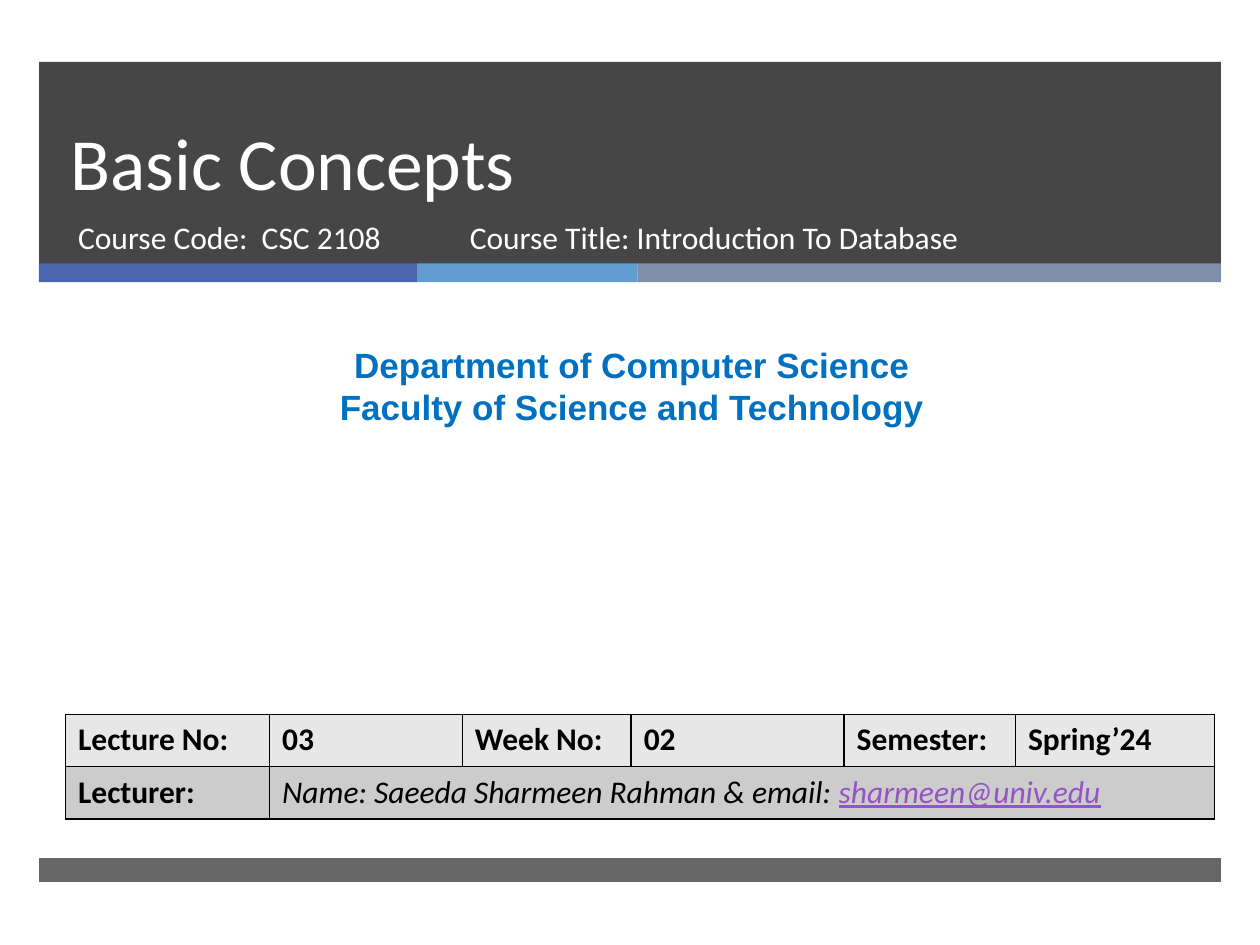
from dataclasses import dataclass

from lxml import etree
from pptx import Presentation
from pptx.dml.color import RGBColor
from pptx.enum.shapes import MSO_SHAPE
from pptx.enum.text import MSO_ANCHOR, MSO_AUTO_SIZE, PP_ALIGN
from pptx.oxml.ns import qn
from pptx.util import Inches, Pt

RECTANGLE = MSO_SHAPE.RECTANGLE
TOP, BOTTOM = MSO_ANCHOR.TOP, MSO_ANCHOR.BOTTOM
LEFT, CENTER = PP_ALIGN.LEFT, PP_ALIGN.CENTER
NO_AUTOFIT = MSO_AUTO_SIZE.NONE

WHITE = RGBColor(0xFF, 0xFF, 0xFF)
BLACK = RGBColor(0x00, 0x00, 0x00)
CHARCOAL = RGBColor(0x26, 0x26, 0x26)
INDIGO = RGBColor(0x4A, 0x66, 0xAC)
SKY = RGBColor(0x62, 0x9D, 0xD1)
SLATE = RGBColor(0x7F, 0x8F, 0xA9)
DEPARTMENT_BLUE = RGBColor(0x00, 0x70, 0xC0)
LINK_PURPLE = RGBColor(0x94, 0x54, 0xC3)
LIGHT_GRAY = RGBColor(0xE7, 0xE7, 0xE7)
MID_GRAY = RGBColor(0xCC, 0xCC, 0xCC)

TITLE = {"name": "Calibri", "size": Pt(42), "bold": False}
COURSE = {"name": "Calibri", "size": Pt(18), "bold": False}
DEPARTMENT = {"name": "Arial", "size": Pt(20), "bold": True}
LABEL = {"name": "Calibri", "size": Pt(18), "bold": True}
DETAIL = LABEL | {"bold": False, "italic": True}
EMAIL = DETAIL | {"underline": True}


@dataclass
class Box:
    left: float
    top: float
    width: float
    height: float


@dataclass
class Band:
    box: Box
    color: RGBColor
    opacity: int = 100


@dataclass
class Text:
    words: str
    style: dict
    color: RGBColor


BANDS = [
    Band(Box(0.31, 0.49, 9.38, 1.61), CHARCOAL, 85),
    Band(Box(0.31, 2.09, 3, 0.15), INDIGO),
    Band(Box(3.31, 2.09, 1.75, 0.15), SKY),
    Band(Box(5.06, 2.09, 4.63, 0.15), SLATE),
    Band(Box(0.31, 6.81, 9.38, 0.19), CHARCOAL, 70),
]
COLUMN_WIDTHS = [1.62, 1.53, 1.34, 1.69, 1.36, 1.58]
LECTURE_CELLS = ["Lecture No:", "03", "Week No:", "02", "Semester:", "Spring’24"]
ROW_HEIGHT = 0.415


def place(shape, box: Box) -> None:
    shape.left, shape.top = Inches(box.left), Inches(box.top)
    shape.width, shape.height = Inches(box.width), Inches(box.height)


def add_band(slide, band: Band) -> None:
    box = band.box
    shape = slide.shapes.add_shape(RECTANGLE, Inches(box.left), Inches(box.top),
                                   Inches(box.width), Inches(box.height))
    shape.shadow.inherit = False
    shape.line.fill.background()
    shape.fill.solid()
    shape.fill.fore_color.rgb = band.color
    if band.opacity < 100:
        color = shape._element.spPr.find(f".//{qn('a:srgbClr')}")
        etree.SubElement(color, qn("a:alpha"), val=str(band.opacity * 1000))


def add_run(paragraph, text: Text) -> None:
    run = paragraph.add_run()
    run.text = text.words
    for name, value in text.style.items():
        setattr(run.font, name, value)
    run.font.color.rgb = text.color


def write_lines(shape, lines: list[Text], align=LEFT, anchor=TOP) -> None:
    frame = shape.text_frame
    frame.word_wrap = True
    frame.auto_size = NO_AUTOFIT
    frame.vertical_anchor = anchor
    for index, line in enumerate(lines):
        paragraph = frame.add_paragraph() if index else frame.paragraphs[0]
        paragraph.alignment = align
        paragraph.space_before = Pt(0)
        add_run(paragraph, line)


def add_text_box(slide, box: Box, lines: list[Text], align=LEFT) -> None:
    shape = slide.shapes.add_textbox(0, 0, 0, 0)
    place(shape, box)
    write_lines(shape, lines, align)


def format_cell(cell, fill: RGBColor) -> None:
    """Fill the cell and draw a thin black border on all four sides."""
    cell.fill.solid()
    cell.fill.fore_color.rgb = fill
    properties = cell._tc.get_or_add_tcPr()
    for index, side in enumerate(("a:lnL", "a:lnR", "a:lnT", "a:lnB")):
        border = etree.Element(qn(side), w=str(Pt(1)))
        solid = etree.SubElement(border, qn("a:solidFill"))
        etree.SubElement(solid, qn("a:srgbClr"), val=str(BLACK))
        properties.insert(index, border)


def add_lecture_table(slide) -> None:
    table = slide.shapes.add_table(
        2, len(COLUMN_WIDTHS), Inches(0.52), Inches(5.67),
        Inches(sum(COLUMN_WIDTHS)), Inches(2 * ROW_HEIGHT)).table
    for column, width in zip(table.columns, COLUMN_WIDTHS):
        column.width = Inches(width)
    for row, fill in zip(table.rows, (LIGHT_GRAY, MID_GRAY)):
        row.height = Inches(ROW_HEIGHT)
        for cell in row.cells:
            format_cell(cell, fill)
    table.cell(1, 1).merge(table.cell(1, len(COLUMN_WIDTHS) - 1))

    lecturer_row = [
        [Text("Lecturer:", LABEL, BLACK)],
        [Text("Name: Saeeda Sharmeen Rahman & email: ", DETAIL, BLACK),
         Text("sharmeen@univ.edu", EMAIL, LINK_PURPLE)],
    ]
    lecture_row = [[Text(words, LABEL, BLACK)] for words in LECTURE_CELLS]
    for row_index, row_texts in enumerate((lecture_row, lecturer_row)):
        for column_index, texts in enumerate(row_texts):
            paragraph = table.cell(row_index, column_index).text_frame.paragraphs[0]
            for text in texts:
                add_run(paragraph, text)


def main() -> None:
    presentation = Presentation()
    presentation.slide_width, presentation.slide_height = Inches(10), Inches(7.5)
    slide = presentation.slides.add_slide(presentation.slide_layouts[0])
    title, subtitle = slide.placeholders

    for band in BANDS:
        add_band(slide, band)
    for placeholder in (title, subtitle):  # bring in front of the bands
        slide.shapes._spTree.append(placeholder._element)

    place(title, Box(0.46, 0.49, 8.54, 1.19))
    write_lines(title, [Text("Basic Concepts", TITLE, WHITE)], anchor=BOTTOM)
    title.text_frame.paragraphs[0].line_spacing = Pt(46)
    place(subtitle, Box(0.52, 1.68, 3.05, 0.53))
    write_lines(subtitle, [Text("Course Code:  CSC 2108", COURSE, WHITE)])

    add_text_box(slide, Box(0.08, 2.68, 9.87, 0.77), [
        Text("Department of Computer Science", DEPARTMENT, DEPARTMENT_BLUE),
        Text("Faculty of Science and Technology", DEPARTMENT, DEPARTMENT_BLUE),
    ], CENTER)
    add_lecture_table(slide)
    add_text_box(slide, Box(3.63, 1.68, 4.55, 0.53), [
        Text("Course Title: Introduction To Database", COURSE, WHITE)])
    presentation.save("out.pptx")


if __name__ == "__main__":
    main()
